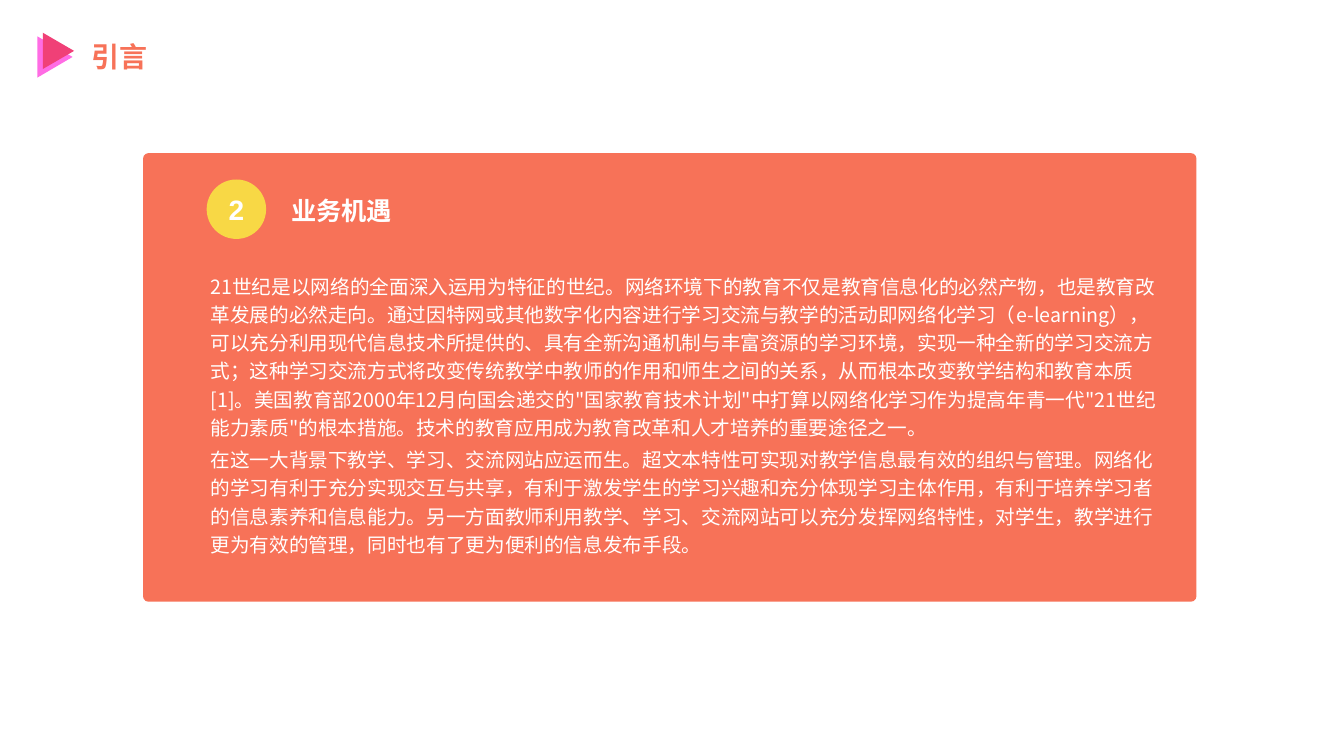
from dataclasses import dataclass

from pptx import Presentation
from pptx.dml.color import RGBColor
from pptx.enum.shapes import MSO_SHAPE
from pptx.enum.text import MSO_ANCHOR, PP_ALIGN
from pptx.oxml.ns import qn
from pptx.shapes.autoshape import Shape
from pptx.util import Pt

CORAL = RGBColor(0xF7, 0x72, 0x58)
YELLOW = RGBColor(0xF8, 0xD8, 0x45)
PINK = RGBColor(0xFF, 0x6C, 0xE4)
RED = RGBColor(0xF0, 0x40, 0x77)
WHITE = RGBColor(0xFF, 0xFF, 0xFF)
ARIAL = "Arial"
NOTO = "Noto Sans CJK SC"


@dataclass
class Box:
    left: float
    top: float
    width: float
    height: float


@dataclass
class Block:
    box: Box
    paragraphs: list[str]
    size: float
    line: float
    color: RGBColor = WHITE
    bold: bool = True
    font: str = NOTO
    gap: float = 0


@dataclass
class Figure:
    kind: MSO_SHAPE
    box: Box
    color: RGBColor
    rotation: float = 0


TITLE = Block(Box(58.3, 23.8, 159.8, 31.7), ["引言"], 20, 25, CORAL)
HEADING = Block(Box(200.9, 134.6, 154.8, 28.8), ["业务机遇"], 18, 23, font=ARIAL)
BODY = Block(Box(143.3, 189.4, 691.9, 212.4), [
    "21世纪是以网络的全面深入运用为特征的世纪。网络环境下的教育不仅是教育信息化的必然产物，"
    "也是教育改革发展的必然走向。通过因特网或其他数字化内容进行学习交流与教学的活动即网络化学习"
    "（e-learning），可以充分利用现代信息技术所提供的、具有全新沟通机制与丰富资源的学习环境，"
    "实现一种全新的学习交流方式；这种学习交流方式将改变传统教学中教师的作用和师生之间的关系，"
    "从而根本改变教学结构和教育本质[1]。美国教育部2000年12月向国会递交的\"国家教育技术计划\""
    "中打算以网络化学习作为提高年青一代\"21世纪能力素质\"的根本措施。"
    "技术的教育应用成为教育改革和人才培养的重要途径之一。",
    "在这一大背景下教学、学习、交流网站应运而生。超文本特性可实现对教学信息最有效的组织与管理。"
    "网络化的学习有利于充分实现交互与共享，有利于激发学生的学习兴趣和充分体现学习主体作用，"
    "有利于培养学习者的信息素养和信息能力。另一方面教师利用教学、学习、交流网站可以充分发挥网络特性，"
    "对学生，教学进行更为有效的管理，同时也有了更为便利的信息发布手段。",
], 14, 20.15, bold=False, gap=3)

ICON = [
    Figure(MSO_SHAPE.ISOSCELES_TRIANGLE, Box(24.5, 28.1, 29.5, 25.2), PINK, 90),
    Figure(MSO_SHAPE.ISOSCELES_TRIANGLE, Box(28.8, 25.2, 25.9, 22.3), RED, 90),
]
CARD = Figure(MSO_SHAPE.ROUNDED_RECTANGLE, Box(102.2, 109.4, 752.4, 320.4), CORAL)
BADGE = Figure(MSO_SHAPE.OVAL, Box(147.6, 128.2, 42.5, 42.5), YELLOW)


def lengths(box: Box) -> tuple[Pt, Pt, Pt, Pt]:
    return Pt(box.left), Pt(box.top), Pt(box.width), Pt(box.height)


def draw_figure(shapes, figure: Figure) -> Shape:
    sp = shapes.add_shape(figure.kind, *lengths(figure.box))
    sp.shadow.inherit = False
    sp.fill.solid()
    sp.fill.fore_color.rgb = figure.color
    sp.line.fill.background()
    sp.rotation = figure.rotation
    return sp


def format_run(r, size: float, color: RGBColor, bold: bool, font: str) -> None:
    r.font.size = Pt(size)
    r.font.color.rgb = color
    r.font.bold = bold
    r.font.name = font
    ea = r.font._element.makeelement(qn("a:ea"), {"typeface": NOTO})
    r.font._element.find(qn("a:latin")).addnext(ea)


def fill_text(sp: Shape, block: Block) -> None:
    sp.left, sp.top, sp.width, sp.height = lengths(block.box)
    tf = sp.text_frame
    tf.word_wrap = True
    tf.vertical_anchor = MSO_ANCHOR.TOP
    tf.text = "\n".join(block.paragraphs)
    for i, p in enumerate(tf.paragraphs):
        p.alignment = PP_ALIGN.LEFT
        p.line_spacing = Pt(block.line)
        p.space_before = Pt(block.gap if i else 0)
        for r in p.runs:
            format_run(r, block.size, block.color, block.bold, block.font)


def draw_badge(shapes, figure: Figure, number: str) -> None:
    sp = draw_figure(shapes, figure)
    tf = sp.text_frame
    tf.margin_left = tf.margin_right = tf.margin_top = tf.margin_bottom = 0
    tf.vertical_anchor = MSO_ANCHOR.MIDDLE
    tf.text = number
    p = tf.paragraphs[0]
    p.alignment = PP_ALIGN.CENTER
    format_run(p.runs[0], 20, WHITE, True, ARIAL)


def main() -> None:
    prs = Presentation()
    prs.slide_width, prs.slide_height = Pt(960), Pt(540)
    s = prs.slides.add_slide(prs.slide_layouts.get_by_name("Title Only"))
    fill_text(s.shapes.title, TITLE)
    icon = s.shapes.add_group_shape()
    for triangle in ICON:
        draw_figure(icon.shapes, triangle)
    draw_figure(s.shapes, CARD).adjustments[0] = 0.012
    draw_badge(s.shapes, BADGE, "2")
    for block in (BODY, HEADING):
        fill_text(s.shapes.add_textbox(*lengths(block.box)), block)
    prs.save("out.pptx")


if __name__ == "__main__":
    main()
